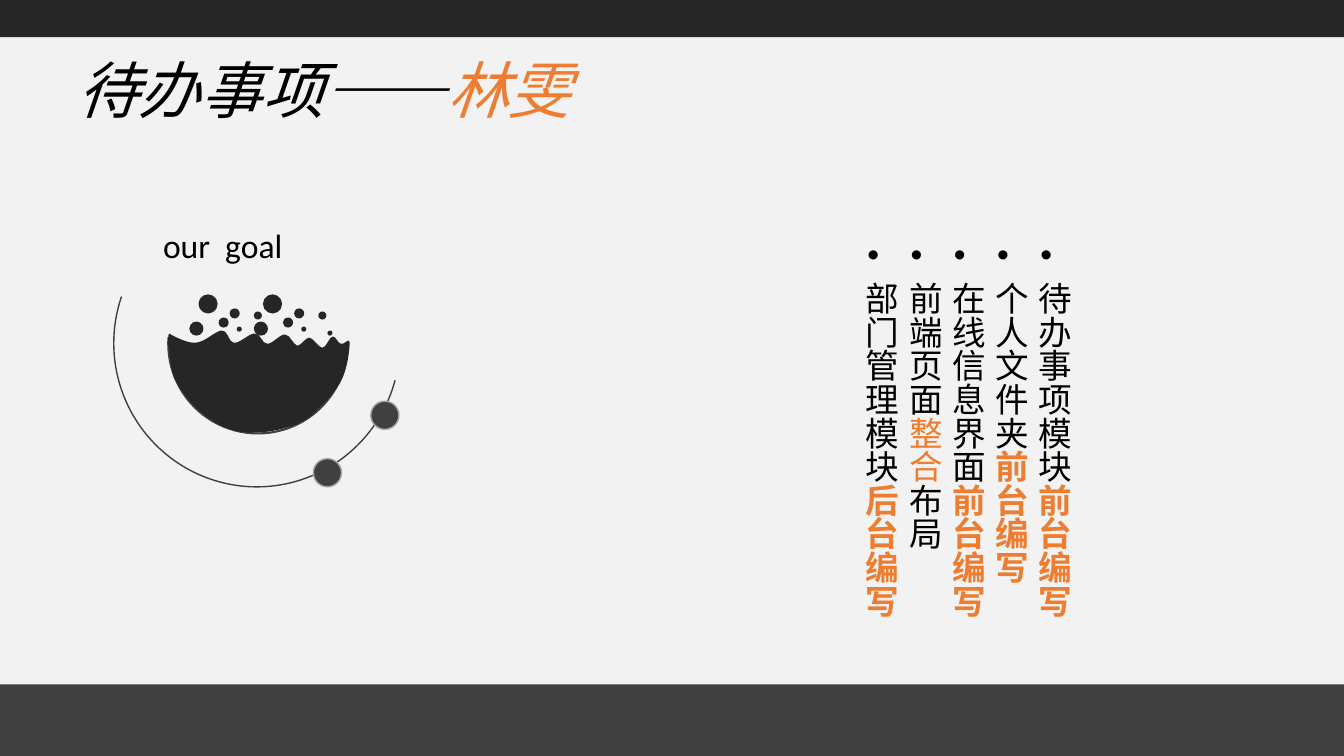
from typing import NamedTuple

from lxml.etree import Element, SubElement
from pptx import Presentation
from pptx.dml.color import RGBColor
from pptx.enum.shapes import MSO_SHAPE as Preset
from pptx.enum.text import MSO_ANCHOR as Anchor
from pptx.oxml.ns import qn
from pptx.util import Pt

PX = 9144
ARC_UNITS_PER_DEGREE = 0.6
BLACK, ORANGE = "000000", "ED7D31"
DARK, GREY, SILVER, PAPER = "262626", "404040", "A6A6A6", "F2F2F2"
LATIN, CHINESE = "Calibri", "Noto Sans CJK SC"


class Box(NamedTuple):
    left: int
    top: int
    width: int
    height: int


class Dot(NamedTuple):
    left: int
    top: int
    size: int


class Arc(NamedTuple):
    box: Box
    start: int
    end: int
    line_width: float


class Piece(NamedTuple):
    text: str
    color: str = BLACK
    bold: bool = False


BARS = [(Box(0, 679, 1334, 71), GREY), (Box(0, 0, 1334, 37), DARK)]
BUBBLES = [Dot(197, 292, 19), Dot(228, 306, 10), Dot(217, 315, 10),
           Dot(235, 324, 5), Dot(252, 309, 8), Dot(188, 319, 14)]
BUBBLE_SHIFT = 64
LAST_BUBBLE = Dot(325, 328, 5)
ORBIT_DOTS = [Dot(368, 398, 28), Dot(311, 455, 28)]
BOWL_RIM = Arc(Box(167, 252, 178, 178), 0, 184, 1.5)
ORBIT = Arc(Box(113, 198, 284, 285), 15, 199, 1)

LIQUID_START = (168, 331)
LIQUID_CURVES = [
    ((168, 331), (185, 341), (194, 340)), ((203, 340), (214, 328), (220, 328)),
    ((227, 328), (227, 340), (232, 340)), ((238, 341), (248, 330), (253, 331)),
    ((259, 331), (260, 341), (265, 341)), ((270, 342), (278, 331), (283, 332)),
    ((288, 332), (291, 342), (295, 343)), ((299, 343), (303, 335), (307, 335)),
    ((311, 335), (316, 345), (320, 345)), ((324, 345), (327, 334), (330, 334)),
    ((333, 333), (335, 340), (338, 341)), ((341, 343), (347, 334), (347, 340)),
    ((347, 347), (345, 366), (338, 379)), ((331, 391), (314, 409), (304, 416)),
    ((294, 423), (267, 430), (251, 429)), ((235, 429), (223, 426), (206, 414)),
    ((189, 402), (182, 390), (175, 379)), ((169, 368), (169, 356), (168, 348)),
    ((166, 340), (167, 330), (168, 331)),
]

TITLE = [Piece("待办事项——"), Piece("林雯", ORANGE)]
TASKS = [
    [Piece("待办事项模块"), Piece("前台编写", ORANGE, True)],
    [Piece("个人文件夹"), Piece("前台编写", ORANGE, True)],
    [Piece("在线信息界面"), Piece("前台编写", ORANGE, True)],
    [Piece("前端页面"), Piece("整合", ORANGE), Piece("布局")],
    [Piece("部门管理模块"), Piece("后台编写", ORANGE, True)],
]


def rgb(color: str) -> RGBColor:
    return RGBColor.from_string(color)


def scaled(box: Box) -> list[int]:
    return [length * PX for length in box]


def add_preset(slide, preset, box: Box, fill: str, line: str = "") -> None:
    shape = slide.shapes.add_shape(preset, *scaled(box))
    shape.shadow.inherit = False
    shape.fill.solid()
    shape.fill.fore_color.rgb = rgb(fill)
    if line:
        shape.line.color.rgb = rgb(line)
        shape.line.width = Pt(1)
    else:
        shape.line.fill.background()


def add_dot(slide, dot: Dot, fill: str, line: str = "") -> None:
    add_preset(slide, Preset.OVAL, Box(dot.left, dot.top, dot.size, dot.size), fill, line)


def add_arc(slide, arc: Arc) -> None:
    shape = slide.shapes.add_shape(Preset.ARC, *scaled(arc.box))
    shape.shadow.inherit = False
    shape.adjustments[0] = arc.start * ARC_UNITS_PER_DEGREE
    shape.adjustments[1] = arc.end * ARC_UNITS_PER_DEGREE
    shape.fill.background()
    shape.line.color.rgb = rgb(GREY)
    shape.line.width = Pt(arc.line_width)


def add_liquid(slide) -> None:
    builder = slide.shapes.build_freeform(*LIQUID_START, scale=PX)
    builder.add_line_segments([end for _, _, end in LIQUID_CURVES], close=True)
    shape = builder.convert_to_shape()
    shape.shadow.inherit = False
    shape.fill.solid()
    shape.fill.fore_color.rgb = rgb(DARK)
    shape.line.fill.background()
    left = min(end[0] for _, _, end in LIQUID_CURVES)
    top = min(end[1] for _, _, end in LIQUID_CURVES)
    segments = list(shape._element.iter(qn("a:lnTo")))
    for segment, (first, second, _) in zip(segments, LIQUID_CURVES):
        segment.tag = qn("a:cubicBezTo")
        for index, (x, y) in enumerate((first, second)):
            segment.insert(index, Element(qn("a:pt"), x=str(x - left), y=str(y - top)))


def add_frame(slide, box: Box):
    frame = slide.shapes.add_textbox(*scaled(box)).text_frame
    frame.word_wrap = True
    return frame


def write(paragraph, pieces: list[Piece], font: str, size: int) -> None:
    paragraph.font.name = font
    paragraph.font.size = Pt(size)
    properties = paragraph._p.get_or_add_pPr().get_or_add_defRPr()
    SubElement(properties, qn("a:ea"), typeface=CHINESE)
    for piece in pieces:
        run = paragraph.add_run()
        run.text = piece.text
        run.font.color.rgb = rgb(piece.color)
        run.font.bold = piece.bold


def add_bullet(paragraph) -> None:
    properties = paragraph._p.get_or_add_pPr()
    properties.set("marL", str(75 * PX))
    properties.set("indent", str(-25 * PX))
    color = SubElement(properties, qn("a:buClr"))
    SubElement(color, qn("a:srgbClr"), val=BLACK)
    SubElement(properties, qn("a:buFont"), typeface="Arial")
    SubElement(properties, qn("a:buChar"), char="•")


def add_title(slide) -> None:
    frame = add_frame(slide, Box(67, 30, 1200, 125))
    frame.vertical_anchor = Anchor.MIDDLE
    paragraph = frame.paragraphs[0]
    paragraph.line_spacing = 0.9
    write(paragraph, TITLE, LATIN, 44)
    paragraph.font.italic = True


def add_tasks(slide) -> None:
    frame = add_frame(slide, Box(582, 195, 485, 461))
    frame.margin_left = frame.margin_right = 5 * PX
    frame.margin_top = frame.margin_bottom = 10 * PX
    frame._txBody.bodyPr.set("vert", "eaVert")
    for index, pieces in enumerate(TASKS):
        paragraph = frame.add_paragraph() if index else frame.paragraphs[0]
        paragraph.level = 1
        paragraph.line_spacing = 0.9
        if index:
            paragraph.space_before = Pt(5)
        add_bullet(paragraph)
        write(paragraph, pieces, CHINESE, 24)


def main() -> None:
    presentation = Presentation()
    presentation.slide_width, presentation.slide_height = 1334 * PX, 750 * PX
    slide = presentation.slides.add_slide(presentation.slide_layouts[6])
    slide.background.fill.solid()
    slide.background.fill.fore_color.rgb = rgb(PAPER)
    for box, color in BARS:
        add_preset(slide, Preset.RECTANGLE, box, color)
    add_title(slide)
    add_tasks(slide)
    add_arc(slide, BOWL_RIM)
    add_liquid(slide)
    for shift in (0, BUBBLE_SHIFT):
        for bubble in BUBBLES:
            add_dot(slide, bubble._replace(left=bubble.left + shift), DARK)
    add_dot(slide, LAST_BUBBLE, DARK)
    add_arc(slide, ORBIT)
    for dot in ORBIT_DOTS:
        add_dot(slide, dot, GREY, SILVER)
    goal = add_frame(slide, Box(152, 218, 183, 50)).paragraphs[0]
    write(goal, [Piece("our  goal")], LATIN, 24)
    presentation.save("out.pptx")


if __name__ == "__main__":
    main()
